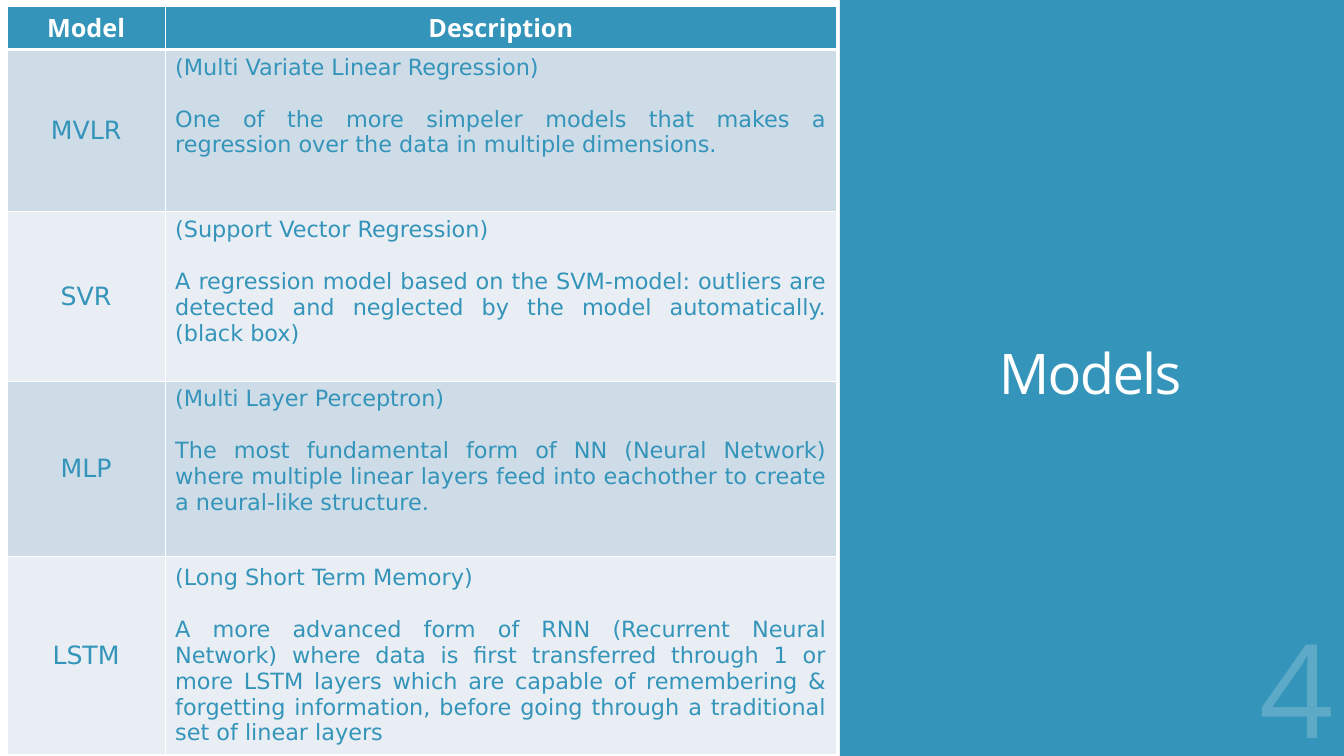
from dataclasses import dataclass

from lxml.etree import SubElement
from pptx import Presentation
from pptx.dml.color import RGBColor
from pptx.enum.shapes import MSO_SHAPE
from pptx.enum.text import MSO_ANCHOR, MSO_AUTO_SIZE, PP_ALIGN
from pptx.oxml.ns import qn
from pptx.util import Pt

TITLE = "Models "
PAGE_NUMBER = "4"
HEADERS = ("Model", "Description")
MODELS = [
    ("MVLR", "(Multi Variate Linear Regression)",
     "One of the more simpeler models that makes a regression over the data "
     "in multiple dimensions. "),
    ("SVR", "(Support Vector Regression)",
     "A regression model based on the SVM-model: outliers are detected and "
     "neglected by the model automatically. (black box)"),
    ("MLP", "(Multi Layer Perceptron)",
     "The most fundamental form of NN (Neural Network) where multiple linear "
     "layers feed into eachother to create a neural-like structure. "),
    ("LSTM", "(Long Short Term Memory)",
     "A more advanced form of RNN (Recurrent Neural Network) where data is "
     "first transferred through 1 or more LSTM layers which are capable of "
     "remembering & forgetting information, before going through a "
     "traditional set of linear layers "),
]


@dataclass(frozen=True)
class Theme:
    accent: str = "3494BA"
    white: str = "FFFFFF"
    bands: tuple = ("CEDCE7", "E8EEF3")
    faint: str = "5DA9C8"
    heading_font: str = "Open Sans"
    body_font: str = "DejaVu Sans"
    title_size: float = 40
    label_size: float = 18
    body_size: float = 16
    number_size: float = 93


THEME = Theme()
SLIDE_WIDTH, SLIDE_HEIGHT = 960, 540
PANEL_LEFT = 600
TABLE_LEFT, TABLE_TOP = 5, 4.3
COLUMN_WIDTHS = (113, 479.5)
ROW_HEIGHTS = (31, 116, 121, 125.5, 140.5)
THIN, THICK = 1, 3
PARAGRAPH_GAP = 18.6


def add_run(paragraph, text, size, color, font, bold=False):
    run = paragraph.add_run()
    run.text = text
    run.font.size = Pt(size)
    run.font.name = font
    run.font.bold = bold
    run.font.color.rgb = RGBColor.from_string(color)
    return run


def style_cell(cell, fill, anchor, top=THIN, bottom=THIN):
    """Draw white borders, then fill the cell; the schema needs this order."""
    properties = cell._tc.get_or_add_tcPr()
    for side, width in (("L", THIN), ("R", THIN), ("T", top), ("B", bottom)):
        line = SubElement(properties, qn(f"a:ln{side}"), w=str(Pt(width)))
        line_fill = SubElement(line, qn("a:solidFill"))
        SubElement(line_fill, qn("a:srgbClr"), val=THEME.white)
    cell.fill.solid()
    cell.fill.fore_color.rgb = RGBColor.from_string(fill)
    cell.vertical_anchor = anchor


def add_panel(slide):
    panel = slide.shapes.add_shape(
        MSO_SHAPE.RECTANGLE, Pt(PANEL_LEFT), 0,
        Pt(SLIDE_WIDTH - PANEL_LEFT), Pt(SLIDE_HEIGHT))
    panel.shadow.inherit = False
    panel.fill.solid()
    panel.fill.fore_color.rgb = RGBColor.from_string(THEME.accent)
    panel.line.fill.background()
    # Behind the title placeholder
    slide.shapes._spTree.insert(2, panel._element)


def fill_title(slide):
    title = slide.shapes.title
    title.left, title.top, title.width, title.height = map(
        Pt, (650, 42.5, 266.5, 454.5))
    frame = title.text_frame
    frame.word_wrap = True
    frame.auto_size = MSO_AUTO_SIZE.NONE
    frame.vertical_anchor = MSO_ANCHOR.MIDDLE
    paragraph = frame.paragraphs[0]
    paragraph.alignment = PP_ALIGN.CENTER
    paragraph.line_spacing = 0.85
    run = add_run(paragraph, TITLE, THEME.title_size, THEME.white, THEME.heading_font)
    run.font._element.set("spc", "-120")


def add_page_number(slide):
    box = slide.shapes.add_textbox(Pt(852.5), Pt(434.8), Pt(100), Pt(105))
    frame = box.text_frame
    frame.word_wrap = True
    frame.margin_left = frame.margin_right = frame.margin_top = frame.margin_bottom = 0
    paragraph = frame.paragraphs[0]
    paragraph.alignment = PP_ALIGN.RIGHT
    add_run(paragraph, PAGE_NUMBER, THEME.number_size, THEME.faint, THEME.heading_font)


def add_model_table(slide):
    table = slide.shapes.add_table(
        len(ROW_HEIGHTS), len(COLUMN_WIDTHS), Pt(TABLE_LEFT), Pt(TABLE_TOP),
        Pt(sum(COLUMN_WIDTHS)), Pt(sum(ROW_HEIGHTS))).table
    table.horz_banding = False
    for column, width in zip(table.columns, COLUMN_WIDTHS):
        column.width = Pt(width)
    for row, height in zip(table.rows, ROW_HEIGHTS):
        row.height = Pt(height)

    for column_index, header in enumerate(HEADERS):
        cell = table.cell(0, column_index)
        style_cell(cell, THEME.accent, MSO_ANCHOR.TOP, bottom=THICK)
        paragraph = cell.text_frame.paragraphs[0]
        paragraph.alignment = PP_ALIGN.CENTER
        add_run(paragraph, header, THEME.label_size, THEME.white,
                THEME.heading_font, bold=True)

    for row_index, (label, full_name, description) in enumerate(MODELS, start=1):
        band = THEME.bands[(row_index - 1) % 2]
        top = THICK if row_index == 1 else THIN
        is_last = row_index == len(MODELS)

        label_cell = table.cell(row_index, 0)
        style_cell(label_cell, band, MSO_ANCHOR.MIDDLE, top=top)
        paragraph = label_cell.text_frame.paragraphs[0]
        paragraph.alignment = PP_ALIGN.CENTER
        add_run(paragraph, label, THEME.label_size, THEME.accent, THEME.body_font)

        text_cell = table.cell(row_index, 1)
        anchor = MSO_ANCHOR.MIDDLE if is_last else MSO_ANCHOR.TOP
        style_cell(text_cell, band, anchor, top=top)
        name_paragraph = text_cell.text_frame.paragraphs[0]
        add_run(name_paragraph, full_name, THEME.body_size, THEME.accent, THEME.body_font)
        paragraph = text_cell.text_frame.add_paragraph()
        paragraph.alignment = PP_ALIGN.JUSTIFY
        paragraph.space_before = Pt(PARAGRAPH_GAP)
        add_run(paragraph, description, THEME.body_size, THEME.accent, THEME.body_font)


def main():
    presentation = Presentation()
    presentation.slide_width = Pt(SLIDE_WIDTH)
    presentation.slide_height = Pt(SLIDE_HEIGHT)
    slide = presentation.slides.add_slide(presentation.slide_layouts[5])
    add_panel(slide)
    fill_title(slide)
    add_page_number(slide)
    add_model_table(slide)
    presentation.save("out.pptx")


if __name__ == "__main__":
    main()
